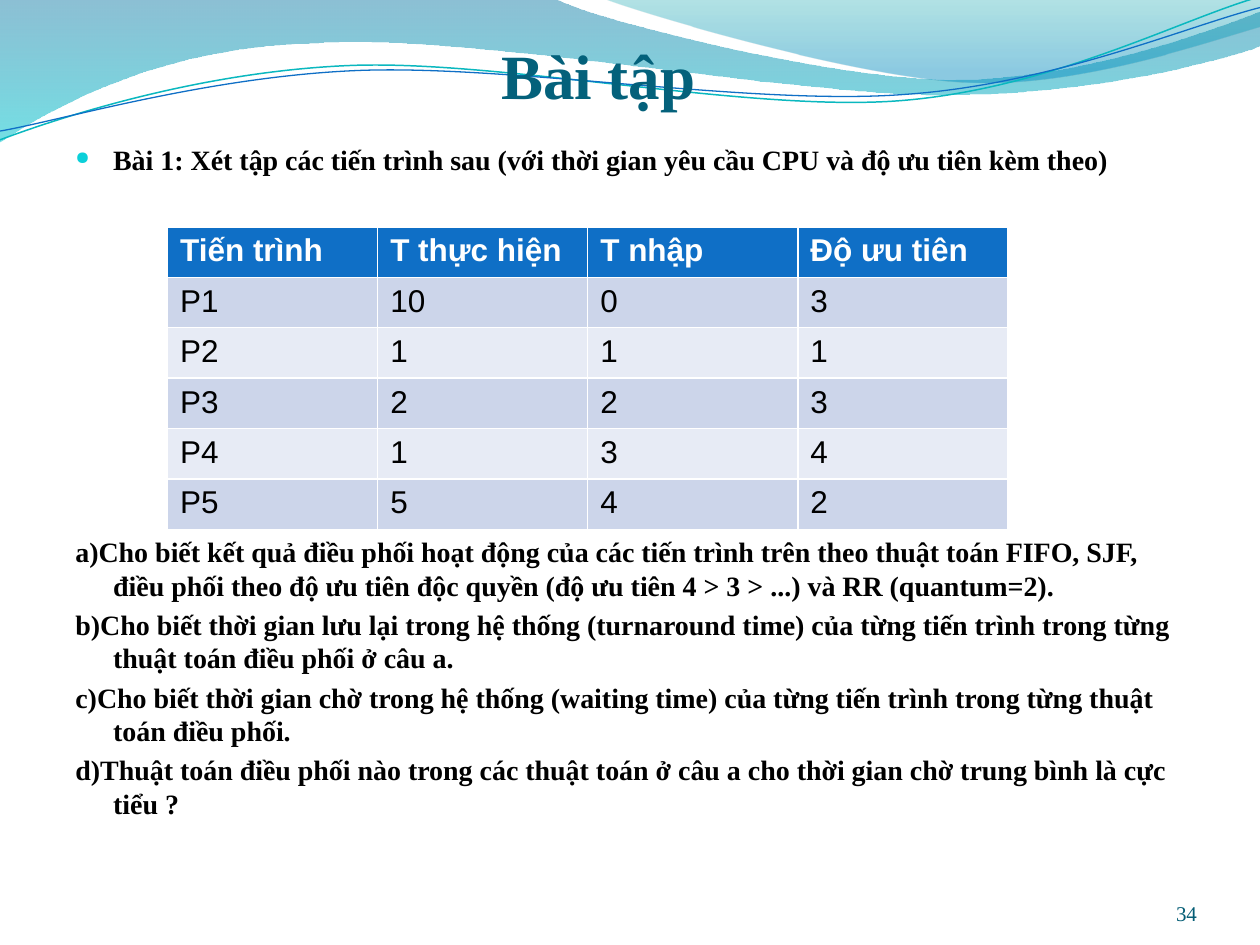
import math

from lxml import etree
from pptx import Presentation, util as u
from pptx.dml.color import RGBColor
from pptx.enum import text
from pptx.oxml.ns import qn

# Content
TITLE = "Bài tập"
PAGE_NUMBER = "34"
EXERCISE = "Bài 1: Xét tập các tiến trình sau (với thời gian yêu cầu CPU và độ ưu tiên kèm theo)"
QUESTIONS = [
    "a)Cho biết kết quả điều phối hoạt động của các tiến trình trên theo thuật toán FIFO, SJF, "
    "điều phối theo độ ưu tiên độc quyền (độ ưu tiên 4 > 3 > ...) và RR (quantum=2).",
    "b)Cho biết thời gian lưu lại trong hệ thống (turnaround time) của từng tiến trình "
    "trong từng thuật toán điều phối ở câu a.",
    "c)Cho biết thời gian chờ trong hệ thống (waiting time) của từng tiến trình "
    "trong từng thuật toán điều phối.",
    "d)Thuật toán điều phối nào trong các thuật toán ở câu a cho thời gian chờ trung bình là cực tiểu ?",
]
PROCESSES = [
    ("Tiến trình", "T thực hiện", "T nhập", "Độ ưu tiên"),
    ("P1", "10", "0", "3"),
    ("P2", "1", "1", "1"),
    ("P3", "2", "2", "3"),
    ("P4", "1", "3", "4"),
    ("P5", "5", "4", "2"),
]

THEME = {
    "serif": "Times New Roman", "sans": "Arial",
    "title": "04617B", "number": "045D75", "ink": "000000", "white": "FFFFFF",
    "bullet": "0BD0D9", "header": "0F6FC6", "bands": ("CCD5EA", "E7EBF5"),
    "title_size": 36, "body_size": 16, "table_size": 18, "number_size": 12,
}

# Outlines: a 2-number step is straight, a 6-number one a Bézier curve.
# Gradient stops run top to bottom: position, colour, opacity in percent.
WAVES = [
    {"start": (0, 0), "steps": [
        (4.4, -0.01), (4.76, 0.17, 6.64, 0.63, 7.58, 0.63), (8.53, 0.63, 9.58, 0.26, 10, 0.09),
        (10.01, 0.36), (9.83, 0.44, 8.7, 0.76, 7.46, 0.75), (6.22, 0.75, 3.82, 0.28, 2.57, 0.34),
        (1.29, 0.36, 0.46, 0.83, -0.01, 1.13), (0, 0)],
     "gradient": [(0, "0074A1", 45), (1, "00C6CF", 55)]},
    {"start": (4.79, -0.01), "steps": [
        (5.09, 0.11, 6.82, 0.62, 7.69, 0.65), (8.56, 0.69, 9.61, 0.32, 10, 0.21), (10, 0),
        (4.79, -0.01)],
     "gradient": [(0, "00A1A9", 30), (0.8, "008BBF", 45)]},
    {"start": (0, 1.11), "steps": [
        (0.48, 0.93, 1.58, 0.57, 2.77, 0.52), (3.95, 0.47, 5.93, 0.89, 7.13, 0.8),
        (8.33, 0.71, 9.38, 0.15, 9.98, -0.02)],
     "line": ("0AB8BF", 0.85), "pivot": (4.99, 0.575)},
    {"start": (0, 1.04), "steps": [
        (0.47, 0.96, 1.64, 0.61, 2.83, 0.56), (4.03, 0.51, 5.97, 0.84, 7.17, 0.75),
        (8.36, 0.67, 9.41, 0.21, 10, 0.06)],
     "line": ("0F6FC6", 0.75), "pivot": (4.995, 0.59)},
]
TILT = -2.7  # degrees, for the waves that have a pivot


def rgb(name):
    return RGBColor.from_string(THEME.get(name, name))


def emu(lengths):
    return tuple(u.Inches(value) for value in lengths)


def level(point, pivot):
    """Turn a point of a tilted wave back to where it lies before the tilt."""
    if pivot is None:
        return point
    angle = math.radians(-TILT)
    x, y = point[0] - pivot[0], point[1] - pivot[1]
    return (pivot[0] + x * math.cos(angle) - y * math.sin(angle),
            pivot[1] + x * math.sin(angle) + y * math.cos(angle))


def add_wave(slide, start, steps, gradient=None, line=None, pivot=None):
    points = [step[i:i + 2] for step in steps for i in range(0, len(step), 2)]
    builder = slide.shapes.build_freeform(*emu(level(start, pivot)), scale=1.0)
    builder.add_line_segments([emu(level(p, pivot)) for p in points], close=bool(gradient))
    wave = builder.convert_to_shape()
    wave.shadow.inherit = False

    # Join each curve's three points into one Bézier segment
    segments = iter(list(wave.element.spPr.iter(qn("a:lnTo"))))
    for step in steps:
        first = next(segments)
        if len(step) == 6:
            first.tag = qn("a:cubicBezTo")
            for _ in range(2):
                other = next(segments)
                first.append(other[0])
                other.getparent().remove(other)

    if line:
        wave.rotation = TILT
        wave.fill.background()
        wave.line.color.rgb = rgb(line[0])
        wave.line.width = u.Pt(line[1])
        return
    wave.line.fill.background()
    wave.fill.gradient()
    wave.fill.gradient_angle = 270
    for stop, (position, color, _) in zip(wave.fill.gradient_stops, gradient):
        stop.position = position
        stop.color.rgb = rgb(color)
    colors = wave.element.spPr.iter(qn("a:srgbClr"))
    for color, (_, _, opacity) in zip(colors, gradient):
        etree.SubElement(color, qn("a:alpha"), val=str(opacity * 1000))


def add_run(paragraph, words, size, color, font="serif", bold=True):
    run = paragraph.add_run()
    run.text = words
    run.font.name = THEME[font]
    run.font.size = u.Pt(THEME[size])
    run.font.bold = bold
    run.font.color.rgb = rgb(color)


def add_box(slide, box, anchor=text.MSO_ANCHOR.TOP, insets=(0.1, 0.05, 0.1, 0.05)):
    frame = slide.shapes.add_textbox(*emu(box)).text_frame
    frame.word_wrap = True
    frame.vertical_anchor = anchor
    frame.margin_left, frame.margin_top, frame.margin_right, frame.margin_bottom = emu(insets)
    return frame


def add_body(slide, box):
    frame = add_box(slide, box)
    table_gap = 205  # room for the table between the exercise and its questions
    gaps = [3.2, table_gap] + [3.2] * (len(QUESTIONS) - 1)
    for i, (words, gap) in enumerate(zip([EXERCISE] + QUESTIONS, gaps)):
        paragraph = frame.paragraphs[0] if i == 0 else frame.add_paragraph()
        paragraph.space_before = u.Pt(gap)
        add_run(paragraph, words, "body_size", "ink")
        props = paragraph._p.get_or_add_pPr()
        props.set("marL", str(u.Inches(0.3)))
        props.set("indent", str(u.Inches(-0.3)))
        if i == 0:
            color = etree.SubElement(props, qn("a:buClr"))
            etree.SubElement(color, qn("a:srgbClr"), val=THEME["bullet"])
            etree.SubElement(props, qn("a:buSzPct"), val="65000")
            etree.SubElement(props, qn("a:buChar"), char="●")
        else:
            etree.SubElement(props, qn("a:buNone"))


def add_processes(slide, left, top, width, row_height):
    # The default table style draws the white cell borders
    rows, columns = len(PROCESSES), len(PROCESSES[0])
    box = (left, top, width, rows * row_height)
    table = slide.shapes.add_table(rows, columns, *emu(box)).table
    for r, process in enumerate(PROCESSES):
        header = r == 0
        for c, value in enumerate(process):
            cell = table.cell(r, c)
            cell.fill.solid()
            cell.fill.fore_color.rgb = rgb("header" if header else THEME["bands"][(r - 1) % 2])
            add_run(cell.text_frame.paragraphs[0], value, "table_size",
                    "white" if header else "ink", "sans", header)


def main():
    deck = Presentation()
    deck.slide_width, deck.slide_height = u.Inches(10), u.Inches(7.5)
    slide = deck.slides.add_slide(deck.slide_layouts[6])

    # Decorative waves
    for wave in WAVES:
        add_wave(slide, **wave)

    # Title
    title = add_box(slide, (0.25, 0.08, 9, 0.81), text.MSO_ANCHOR.BOTTOM, (0, 0.05, 0, 0))
    title.paragraphs[0].alignment = text.PP_ALIGN.CENTER
    add_run(title.paragraphs[0], TITLE, "title_size", "title")

    # Exercise, questions and process table
    add_body(slide, (0.5, 1.08, 9, 6.27))
    add_processes(slide, left=1.33, top=1.8, width=6.67, row_height=0.38)

    # Page number
    number = add_box(slide, (8.67, 6.95, 0.83, 0.4), text.MSO_ANCHOR.BOTTOM, (0, 0, 0, 0))
    number.paragraphs[0].alignment = text.PP_ALIGN.RIGHT
    add_run(number.paragraphs[0], PAGE_NUMBER, "number_size", "number", bold=False)

    deck.save("out.pptx")


if __name__ == "__main__":
    main()
